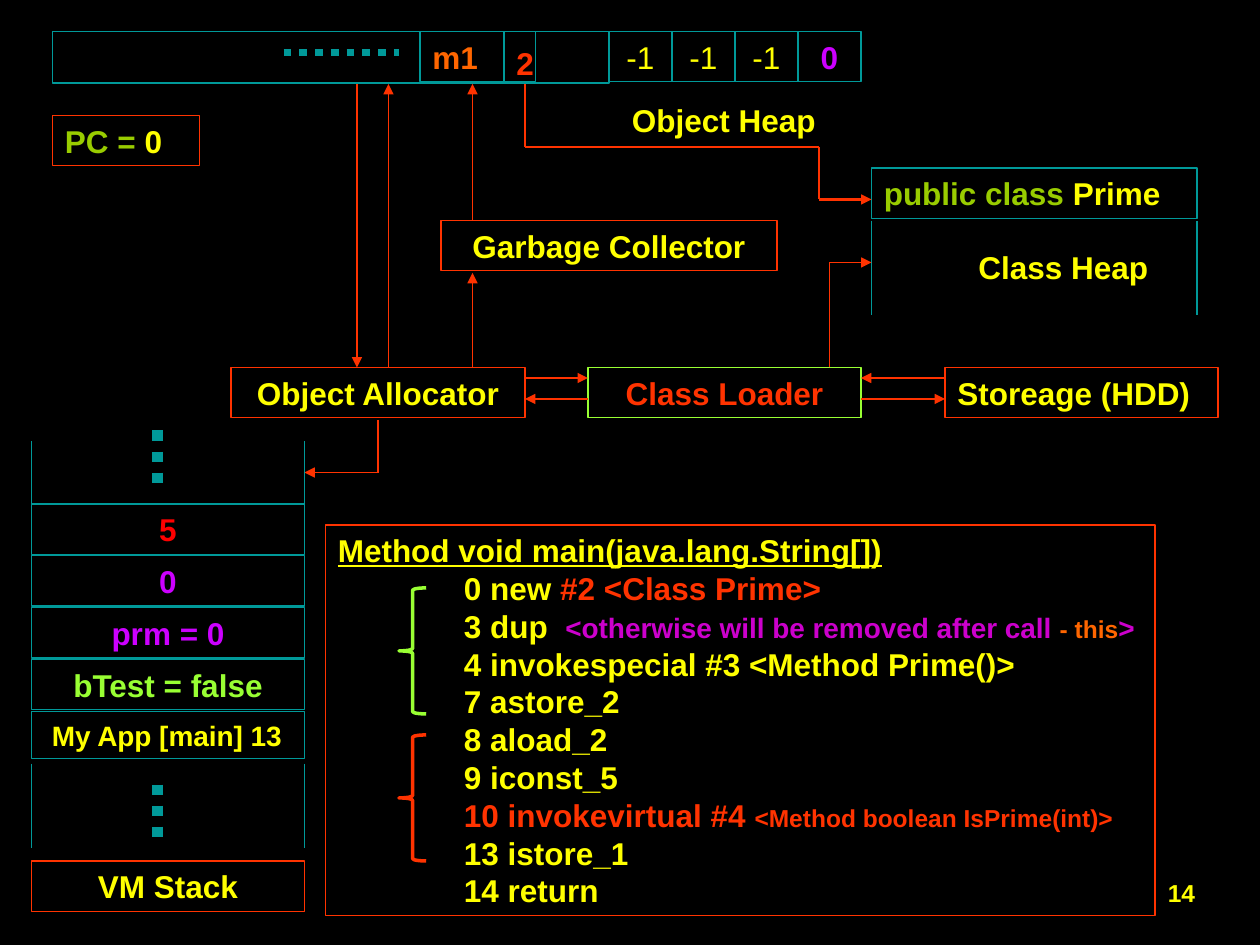
from itertools import pairwise

from lxml import etree
from pptx import Presentation
from pptx.dml.color import RGBColor
from pptx.enum import dml, shapes, text
from pptx.oxml import ns
from pptx.util import Pt

COLORS = {
    "black": "000000", "yellow": "FFFF00", "teal": "009999", "orange": "FF3300",
    "amber": "FF6600", "red": "FF0000", "purple": "CC00FF", "magenta": "CC00CC",
    "lime": "99FF33", "olive": "99CC00",
}
FONT = "Arial"
ROW = 28.8  # height of a one-line box
TAB = 72
CENTER = text.PP_ALIGN.CENTER
LEFT = text.PP_ALIGN.LEFT
RIGHT = text.PP_ALIGN.RIGHT


def rgb(name):
    return RGBColor.from_string(COLORS[name])


def set_tab_stop(paragraph):
    stops = etree.SubElement(paragraph._p.get_or_add_pPr(), ns.qn("a:tabLst"))
    for position in (0, TAB):
        etree.SubElement(stops, ns.qn("a:tab"), pos=str(Pt(position)), algn="l")


def write(frame, lines, align=LEFT, margins=(7.2, 3.6, 7.2, 3.6)):
    """Each line is a list of runs: (words, colour, size, bold, underline), the last three optional."""
    frame.word_wrap = True
    frame.vertical_anchor = text.MSO_ANCHOR.TOP
    (frame.margin_left, frame.margin_top,
     frame.margin_right, frame.margin_bottom) = map(Pt, margins)
    for number, runs in enumerate(lines):
        paragraph = frame.add_paragraph() if number else frame.paragraphs[0]
        paragraph.alignment = align
        if runs[0][0].startswith("\t"):
            set_tab_stop(paragraph)
        for words, color, *rest in runs:
            size, bold, underline = (*rest, *(18, True, False)[len(rest):])
            run = paragraph.add_run()
            run.text = words
            run.font.name, run.font.size = FONT, Pt(size)
            run.font.bold, run.font.underline = bold, underline
            run.font.color.rgb = rgb(color)


def frame_box(slide, box, edge, lines=(), kind=shapes.MSO_SHAPE.RECTANGLE, weight=0.75, **style):
    outline = slide.shapes.add_shape(kind, *map(Pt, box))
    outline.shadow.inherit = False
    outline.fill.background()
    outline.line.color.rgb = rgb(edge)
    outline.line.width = Pt(weight)
    write(outline.text_frame, lines, **style)


def label(slide, box, *runs, align=LEFT):
    write(slide.shapes.add_textbox(*map(Pt, box)).text_frame, [runs], align)


def route(slide, *points, color="orange", weight=0.75, arrow=True, dotted=False):
    """Straight segments through the points, with an arrowhead on the last."""
    for start, end in pairwise(points):
        segment = slide.shapes.add_connector(
            shapes.MSO_CONNECTOR.STRAIGHT, *map(Pt, (*start, *end)))
        segment.line.color.rgb = rgb(color)
        segment.line.width = Pt(weight)
        if dotted:
            segment.line.dash_style = dml.MSO_LINE.ROUND_DOT
        if arrow and end == points[-1]:
            etree.SubElement(segment.line._get_or_add_ln(), ns.qn("a:tailEnd"), type="triangle")
        etree.SubElement(segment._element.spPr, ns.qn("a:effectLst"))


def side_walls(slide, x, y, width, height):
    for edge in (x, x + width):
        route(slide, (edge, y), (edge, y + height), color="teal", arrow=False)


def object_heap(slide, x, y):
    frame_box(slide, (x, y, 318, 29.5), "teal")
    route(slide, (x + 132, y + 12), (x + 198, y + 12),
          color="teal", weight=4.5, arrow=False, dotted=True)
    frame_box(slide, (x + 210, y, 48, ROW), "teal", [[("m1", "amber")]])
    frame_box(slide, (x + 258, y, 18, ROW), "teal", [[("2", "orange")]], margins=(7.2, 7.2, 0, 0))
    slots = [("-1", "yellow", 18, False)] * 3 + [("0", "purple")]
    for column, slot in enumerate(slots):
        frame_box(slide, (x + 318 + 36 * column, y, 36, ROW), "teal", [[slot]], align=CENTER)
    label(slide, (x + 324, y + 36, 120, ROW), ("Object Heap", "yellow"))


def class_heap(slide, x, y, width):
    frame_box(slide, (x, y, width, ROW), "teal",
              [[("public class", "olive"), (" Prime", "yellow")]])
    side_walls(slide, x, y + 30, width, 54)
    label(slide, (x + 54, y + 42, 174, ROW), ("Class Heap", "yellow"))


def vm_stack(slide, x, y, width):
    for wall_top, dots_top in ((0, -6), (184.4, 196.4)):
        side_walls(slide, x, y + wall_top, width, 48)
        route(slide, (x + 72, y + dots_top), (x + 72, y + dots_top + 36),
              color="teal", weight=6, arrow=False, dotted=True)
    entries = [("5", "red"), ("0", "purple"), ("prm = 0", "purple"), ("bTest = false", "lime")]
    pitch = 29.6
    for row, entry in enumerate(entries):
        frame_box(slide, (x, y + 36 + pitch * row, width, ROW), "teal", [[entry]], align=CENTER)
    frame_box(slide, (x, y + 36.4 + pitch * len(entries), width, 26.6), "teal",
              [[("My App [main] 13", "yellow", 16)]], margins=(11.6, 3.6, 7.2, 3.6))
    frame_box(slide, (x, y + 240, width, ROW), "orange", [[("VM Stack", "yellow")]], align=CENTER)


def components(slide, x, y):
    """Parts of the virtual machine, placed from the Object Allocator's corner."""
    parts = [
        (0, 0, 168, "Object Allocator", "yellow", "orange", CENTER),
        (120, -84, 192, "Garbage Collector", "yellow", "orange", CENTER),
        (204, 0, 156, "Class Loader", "orange", "lime", CENTER),
        (408, 0, 156, "Storeage (HDD)", "yellow", "orange", LEFT),
    ]
    for dx, dy, width, name, color, edge, align in parts:
        frame_box(slide, (x + dx, y + dy, width, ROW), edge, [[(name, color)]], align=align)
    for left, right, forward, back in ((168, 204, 6, 18), (360, 408, 18, 6)):
        route(slide, (x + left, y + forward), (x + right, y + forward))
        route(slide, (x + right, y + back), (x + left, y + back))


def heap_links(slide):
    """Arrows that join the components to the heaps and the stack."""
    route(slide, (300, 48), (300, 84), (468, 84), (468, 114), (498, 114), weight=1.5)
    route(slide, (474, 210), (474, 150), (498, 150))
    route(slide, (204, 48), (204, 210))
    route(slide, (222, 210), (222, 48))
    route(slide, (270, 126), (270, 48))
    route(slide, (270, 210), (270, 156))
    route(slide, (216, 240), (216, 270), (174, 270))


def bytecode(slide, x, y, width, height):
    frame_box(slide, (x, y, width, height), "orange", [
        [("Method void main(java.lang.String[])", "yellow", 18, True, True)],
        [("\t0 new ", "yellow"), ("#2 <Class Prime>", "orange")],
        [("\t3 dup  ", "yellow"), ("<otherwise will be removed after call ", "magenta", 16),
         ("- this", "amber", 14), (">", "magenta", 16)],
        [("\t4 invokespecial #3 <Method Prime()>", "yellow")],
        [("\t7 astore_2", "yellow")],
        [("\t8 aload_2", "yellow")],
        [("\t9 iconst_5", "yellow")],
        [("\t10 invokevirtual #4 ", "orange"), ("<Method boolean IsPrime(int)>", "orange", 14)],
        [("\t13 istore_1", "yellow")],
        [("\t14 return", "yellow")],
    ])
    for top, color in ((36, "lime"), (120, "orange")):
        frame_box(slide, (x + 42, y + top, 15.6, 72), color,
                  kind=shapes.MSO_SHAPE.LEFT_BRACE, weight=2)


def main():
    deck = Presentation()
    deck.slide_width, deck.slide_height = Pt(720), Pt(540)
    slide = deck.slides.add_slide(deck.slide_layouts[6])
    slide.background.fill.solid()
    slide.background.fill.fore_color.rgb = rgb("black")

    object_heap(slide, 30, 18)
    frame_box(slide, (30, 66, 84, ROW), "orange", [[("PC = ", "olive"), ("0", "yellow")]])
    class_heap(slide, 498, 96, 186)
    components(slide, 132, 210)
    heap_links(slide)
    vm_stack(slide, 18, 252, 156)
    bytecode(slide, 186, 300, 474, 223.2)
    label(slide, (654, 498, 36, 25.2), ("14", "yellow", 14), align=RIGHT)
    deck.save("out.pptx")


if __name__ == "__main__":
    main()
